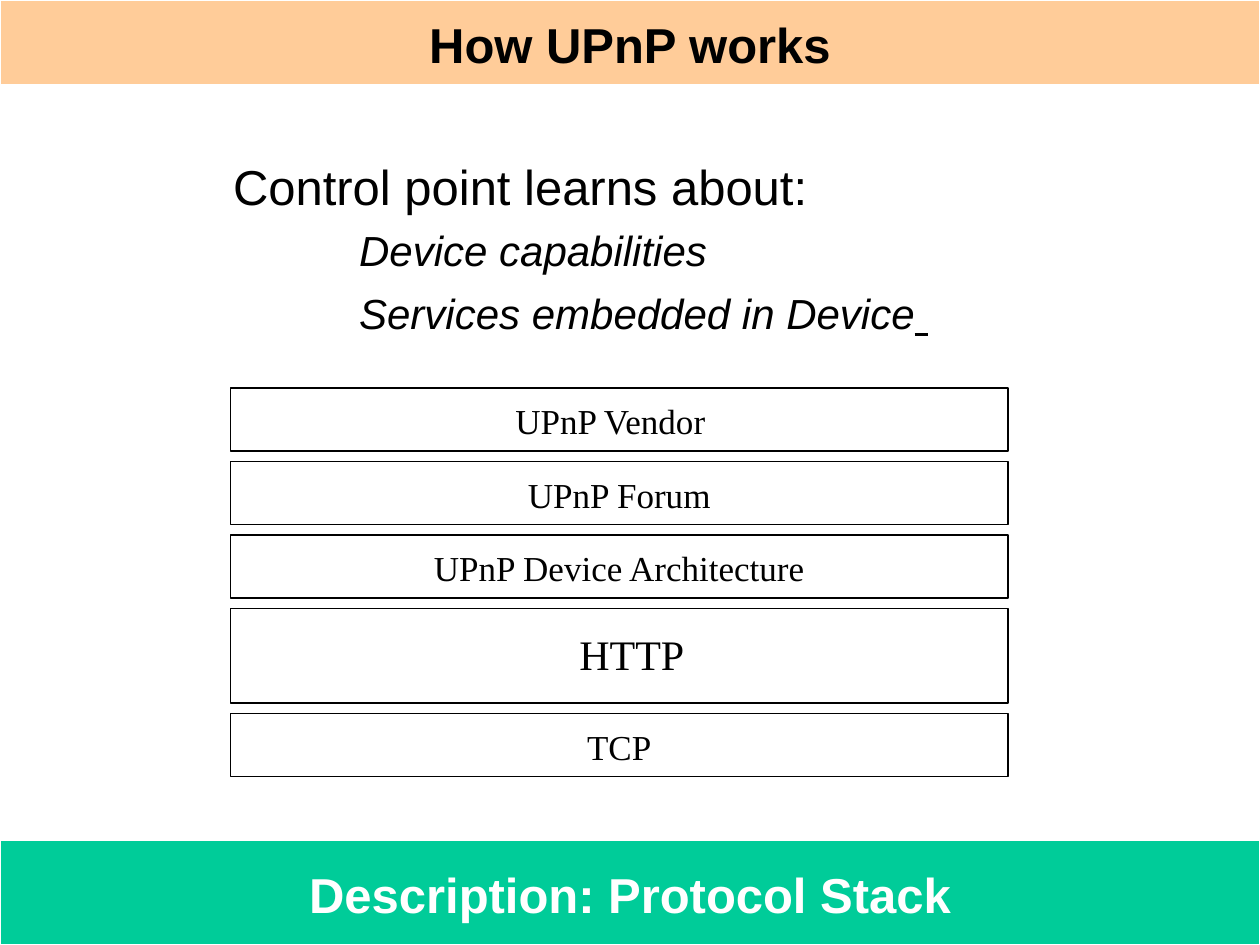
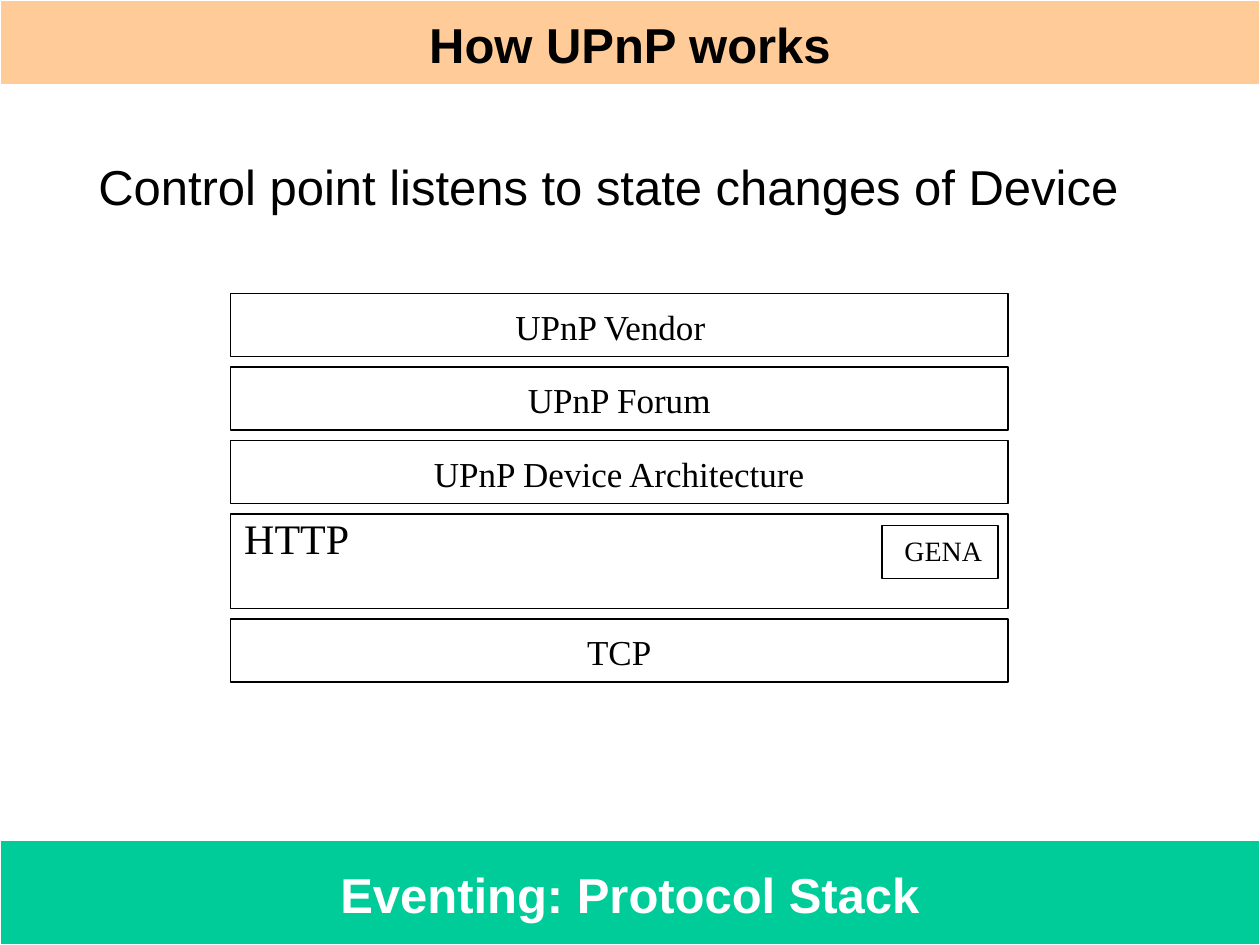
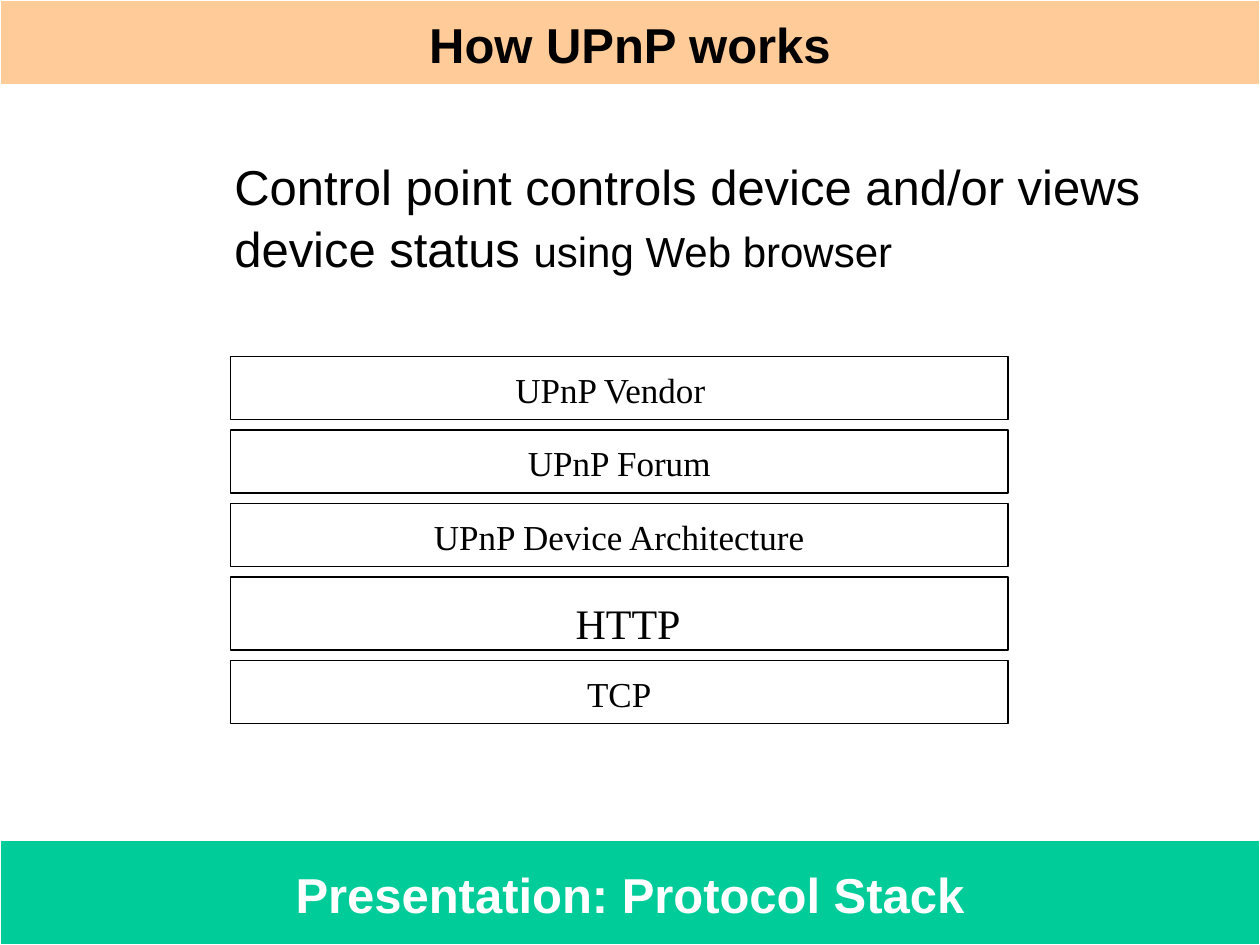
"""Build three slides on the UPnP protocol stack."""
from lxml import etree
from pptx import Presentation
from pptx import util as u
from pptx.dml.color import RGBColor
from pptx.enum import shapes, text
from pptx.oxml import ns

COLORS = {"peach": "FFCC99", "green": "00CC99", "white": "FFFFFF", "black": "000000"}
SANS, SERIF = "Arial", "Times New Roman"
LINE_SPACING = 1.05
STACK_LEFT, STACK_WIDTH = 1.83, 6.17
LAYER_HEIGHT, LAYER_GAP = 0.5, 1 / 12
VENDOR_SHIFT = 0.14


def color(name):
    """Return the named colour."""
    return RGBColor.from_string(COLORS[name])


def place(shape, left, top, width, height):
    """Set the position and size of a shape in inches."""
    shape.left, shape.top = u.Inches(left), u.Inches(top)
    shape.width, shape.height = u.Inches(width), u.Inches(height)


def paint(shape, fill, line):
    """Give a shape a solid fill and a thin outline."""
    shape.fill.solid()
    shape.fill.fore_color.rgb = color(fill)
    shape.line.color.rgb = color(line)
    shape.line.width = u.Pt(0.75)


def add_span(para, words, size, font=SANS, ink="black", bold=False, italic=False, underline=False):
    """Add one formatted run to a paragraph."""
    span = para.add_run()
    span.text = words
    span.font.name, span.font.size = font, u.Pt(size)
    span.font.color.rgb = color(ink)
    span.font.bold, span.font.italic, span.font.underline = bold, italic, underline


def write_line(shape, words, size, font=SANS, ink="black", bold=False, align=text.PP_ALIGN.CENTER):
    """Write a single unwrapped line in a shape."""
    frame = shape.text_frame
    frame.word_wrap = False
    frame.auto_size = text.MSO_AUTO_SIZE.NONE
    para = frame.paragraphs[0]
    para.alignment = align
    para.line_spacing = LINE_SPACING
    add_span(para, words, size, font, ink, bold)


def add_box(page, left, top, width, height, fill="white", line="black"):
    """Add a plain rectangle."""
    box = page.shapes.add_shape(shapes.MSO_SHAPE.RECTANGLE, 0, 0, 0, 0)
    place(box, left, top, width, height)
    paint(box, fill, line)
    box.shadow.inherit = False
    box.text_frame.vertical_anchor = text.MSO_ANCHOR.MIDDLE
    return box


def add_label(page, words, left, top, width, height, size):
    """Add a free left-aligned label."""
    label = page.shapes.add_textbox(0, 0, 0, 0)
    place(label, left, top, width, height)
    write_line(label, words, size, SERIF, align=text.PP_ALIGN.LEFT)


def add_page(deck, phase):
    """Add a slide with the shared title band and footer band."""
    page = deck.slides.add_slide(deck.slide_layouts[1])
    title = page.shapes.title
    place(title, 0, 0, 10, 0.67)
    paint(title, "peach", "white")
    title.text_frame.vertical_anchor = text.MSO_ANCHOR.MIDDLE
    write_line(title, "How UPnP works", 28, bold=True)
    footer = add_box(page, 0, 6.67, 10, 0.83, "green", "white")
    write_line(footer, f"{phase}: Protocol Stack", 28, ink="white", bold=True)
    return page


def fill_body(page, left, width, height, lines):
    """Fill the body with lines given as (indent, space before, runs)."""
    body = page.placeholders[1]
    place(body, left, 1.17, width, height)
    frame = body.text_frame
    frame.word_wrap = True
    frame.auto_size = text.MSO_AUTO_SIZE.NONE
    for number, (indent, space, spans) in enumerate(lines):
        para = frame.add_paragraph() if number else frame.paragraphs[0]
        para.line_spacing = LINE_SPACING
        para.space_before = u.Pt(space)
        properties = para._p.get_or_add_pPr()
        properties.set("marL", str(u.Inches(indent)))
        properties.set("indent", "0")
        etree.SubElement(properties, ns.qn("a:buNone"))
        for words, size, style in spans:
            add_span(para, words, size, **style)


def add_stack(page, top, http_height, http_left, http_top):
    """Stack the protocol layers downwards at equal gaps."""
    layers = [
        ("UPnP Vendor", LAYER_HEIGHT),
        ("UPnP Forum", LAYER_HEIGHT),
        ("UPnP Device Architecture", LAYER_HEIGHT),
        ("HTTP", http_height),
        ("TCP", LAYER_HEIGHT),
    ]
    for name, height in layers:
        layer = add_box(page, STACK_LEFT, top, STACK_WIDTH, height)
        if name == "HTTP":
            add_label(page, name, http_left, http_top, 1.03, 0.5, 24)
        else:
            write_line(layer, name, 20, SERIF)
        if name == "UPnP Vendor":
            layer.text_frame.margin_right = u.Inches(0.1 + VENDOR_SHIFT)
        top += height + LAYER_GAP


def add_description(deck):
    """Add the description slide."""
    page = add_page(deck, "Description")
    slanted = {"italic": True}
    fill_body(page, 1.75, 5.8, 1.5, [
        (0, 0, [("Control point learns about:", 28, {})]),
        (1, 4, [("Device capabilities", 24, slanted)]),
        (1, 1, [("Services embedded in Device", 24, slanted), (" ", 28, {"underline": True})]),
    ])
    add_stack(page, 3.08, 0.75, 4.5, 4.92)


def add_eventing(deck):
    """Add the eventing slide."""
    page = add_page(deck, "Eventing")
    fill_body(page, 0.68, 8.4, 0.57, [
        (0, 0, [("Control point listens to state changes of Device", 28, {})]),
    ])
    add_stack(page, 2.33, 0.75, 1.84, 4)
    add_box(page, 7, 4.17, 0.92, 0.42)
    add_label(page, "GENA", 7.08, 4.17, 0.81, 0.37, 16)


def add_presentation(deck):
    """Add the presentation slide."""
    page = add_page(deck, "Presentation")
    fill_body(page, 1.76, 7.5, 1.04, [
        (0, 0, [("Control point controls device and/or views", 28, {})]),
        (0, 0, [("device status ", 28, {}), ("using Web browser", 24, {})]),
    ])
    add_stack(page, 2.83, 0.58, 4.47, 4.67)


def main():
    """Build and save the deck."""
    deck = Presentation()
    deck.slide_width, deck.slide_height = u.Inches(10), u.Inches(7.5)
    add_description(deck)
    add_eventing(deck)
    add_presentation(deck)
    deck.save("out.pptx")


if __name__ == "__main__":
    main()
